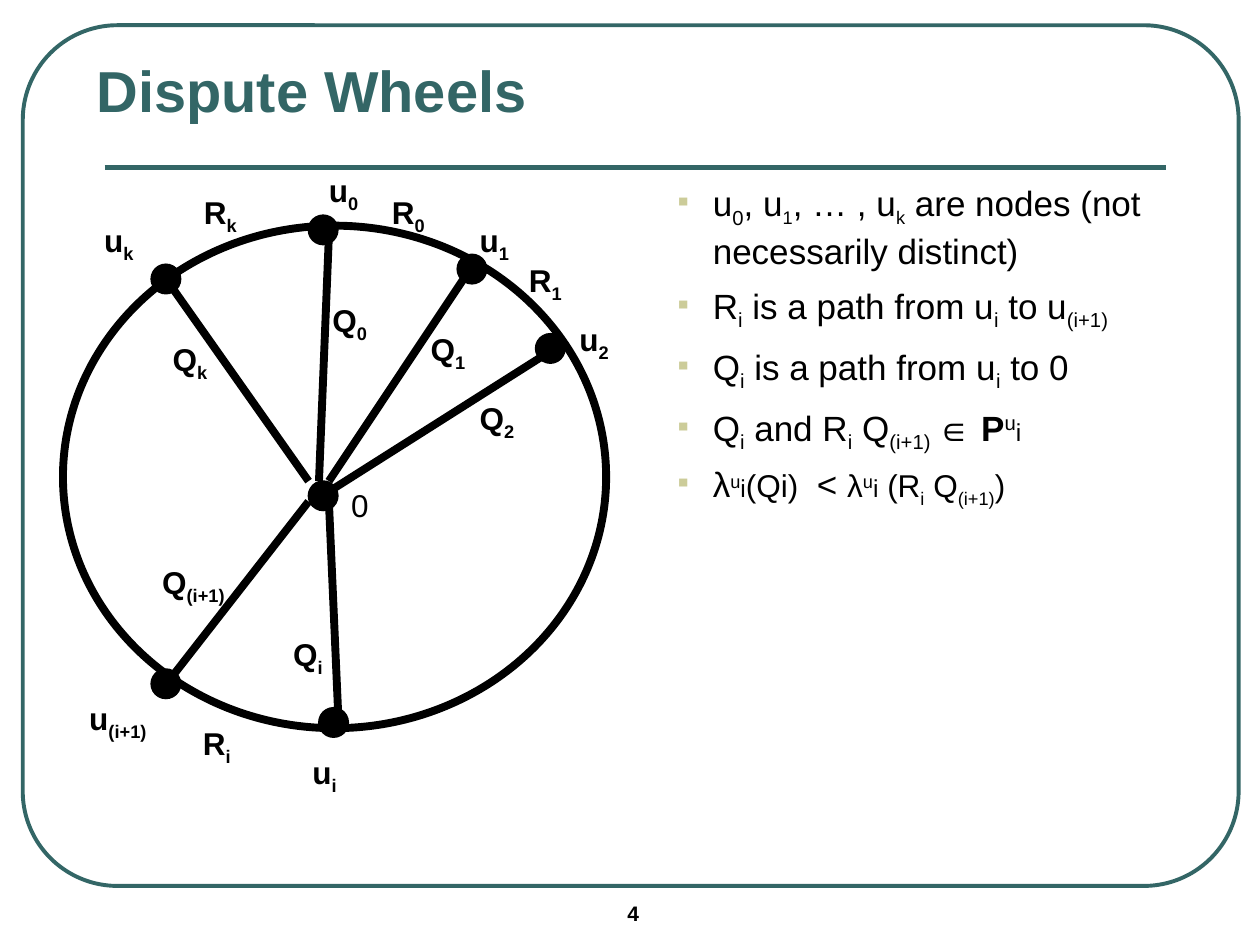
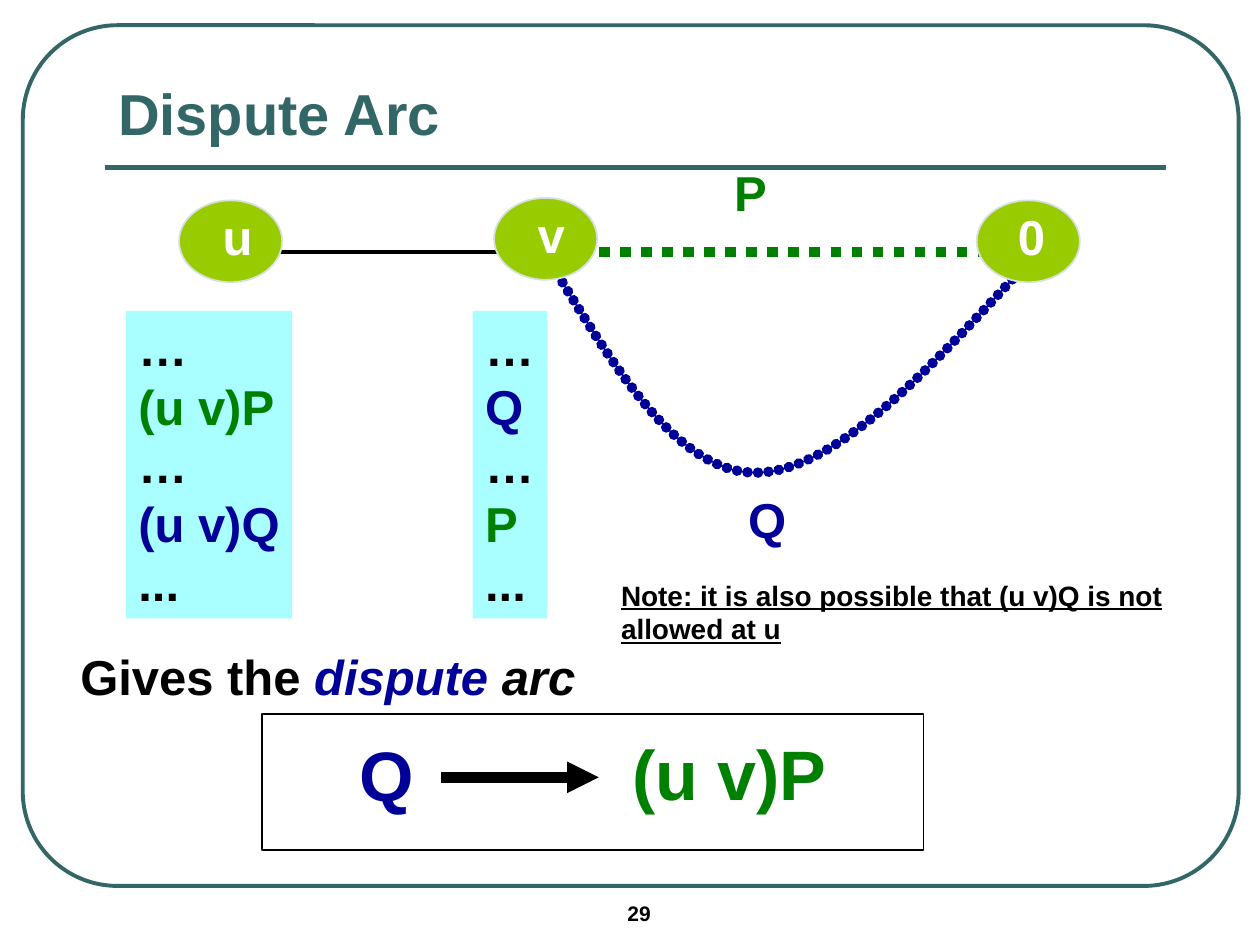
"""Build two slides about dispute wheels and dispute arcs."""
from itertools import pairwise

from lxml import etree
from pptx import Presentation
from pptx.dml.color import RGBColor
from pptx.enum import dml, shapes, text
from pptx.oxml import ns
from pptx.util import Cm, Pt

TEAL, BLACK, WHITE, KHAKI = "336666", "000000", "FFFFFF", "CCCC99"
GREEN, BLUE, LIME, AQUA, PALE = "008000", "000099", "99CC00", "A9FFFF", "D6E0E0"
FONT = "Arial"
OVAL, BOX = shapes.MSO_SHAPE.OVAL, shapes.MSO_SHAPE.RECTANGLE

RIM = (1.27, 4.55, 10.95, 10.13)
HUB = (6.22, 9.7)
DOT = 0.59
WHEEL_NODES = [
    ((6.43, 14.27), (6.83, 14.68), (6.63, 10.11)),
    ((3.05, 13.49), (3.43, 13.69), (6.22, 10.11)),
    ((3.05, 5.33), (3.43, 5.74), (6.22, 9.7)),
    ((10.8, 6.73), (11, 7.14), (6.63, 9.91)),
    ((9.22, 5.13), (9.4, 5.54), (6.63, 9.7)),
    ((6.22, 4.34), (6.63, 4.75), (6.43, 9.7)),
]
WHEEL_LABELS = {
    "u": {"0": (6.38, 3.33), "1": (9.42, 4.34), "2": (11.43, 6.32),
          "i": (6.05, 15.06), "(i+1)": (1.55, 13.97), "k": (1.85, 4.34)},
    "Q": {"0": (6.45, 5.94), "1": (8.43, 6.53), "2": (9.42, 7.92),
          "k": (3.23, 6.73), "(i+1)": (3.02, 11.23), "i": (5.66, 12.67)},
    "R": {"0": (7.65, 3.76), "1": (10.41, 5.13), "i": (3.84, 14.48),
          "k": (3.86, 3.76)},
}
LETTER_WIDTH = {"u": 1.25, "Q": 1.35, "R": 1.3}
EXTRA_WIDTH = {"i": -0.1, "(i+1)": 0.6}

SUB, SUP = {"base": -25}, {"base": 30}
SMALL, SMALL_SUB, SMALL_SUP = ({"size": 18, **base} for base in ({}, SUB, SUP))
TINY = {"size": 14}
DEFINITIONS = [
    (7.5, ["u", ("0", SUB), ", u", ("1", SMALL_SUB), ", … , u", ("k", SMALL_SUB),
           " are nodes (not necessarily distinct)"]),
    (7.5, ["R", ("i", SUB), " is a path from u", ("i", SUB), " to u", ("(i+1)", SUB)]),
    (7.5, ["Q", ("i", SUB), " is a path from u", ("i", SUB), " to 0"]),
    (5.2, ["Q", ("i", SUB), " and R", ("i", SUB), " Q", ("(i+1) ", SUB), "∈ ",
           ("P", {"bold": True}), ("u", SUP), ("i", TINY)]),
    (6.8, ["λ", ("u", SMALL_SUP), ("i", TINY), ("(Qi) ", SMALL), " < ", ("λ", SMALL),
           ("u", SMALL_SUP), ("i", TINY), (" (R", SMALL), ("i", SMALL_SUB),
           (" Q", SMALL), ("(i+1)", SMALL_SUB), (")", SMALL)]),
]

ARC_NODES = [("u", 3.61, 4.04, 0.63, 1.12), ("v", 9.96, 3.99, 0.63, 1.07),
             ("0", 19.69, 4.04, 0.58, 1.07)]
Q_PATH = [
    ((11.23, 5.51), (12.45, 7.52), (13.69, 9.53), (15.24, 9.53)),
    ((15.24, 9.53), (16.79, 9.53), (18.67, 7.52), (20.52, 5.51)),
]
RANKINGS = [
    ((2.54, 6.27, 3.35, 6.2),
     [("…", BLACK), ("(u v)P", GREEN), ("…", BLACK), ("(u v)Q", BLUE), ("...", BLACK)]),
    ((9.53, 6.27, 1.5, 6.2),
     [("…", BLACK), ("Q", BLUE), ("…", BLACK), ("P", GREEN), ("...", BLACK)]),
]
PATH_LABELS = [("P", GREEN, 28, (14.55, 3.15, 1.17, 1.45)),
               ("Q", BLUE, 28, (14.83, 9.75, 1.27, 1.45))]
ARC_LABELS = [("Q", BLUE, 40, (6.99, 14.63, 1.6, 1.96)),
              ("(u v)P", GREEN, 40, (12.5, 14.61, 4.42, 1.96))]
CONCLUSION = ["Gives the ", ("dispute", {"color": BLUE, "italic": True}),
              (" arc", {"italic": True})]
NOTE = "Note: it is also possible that (u v)Q is not allowed at u"


def rgb(value):
    """Turn a hex string into a colour."""
    return RGBColor.from_string(value)


def lengths(values):
    """Turn centimetres into lengths."""
    return [Cm(value) for value in values]


def add_run(paragraph, content, size=18, color=BLACK, bold=False, italic=False,
            underline=False, base=0):
    """Append one formatted run to a paragraph."""
    run = paragraph.add_run()
    run.text = content
    font = run.font
    font.name, font.size, font.bold = FONT, Pt(size), bold
    font.italic, font.underline = italic, underline
    font.color.rgb = rgb(color)
    if base:
        run._r.get_or_add_rPr().set("baseline", str(base * 1000))


def write(frame, lines, wrap=False, anchor=text.MSO_ANCHOR.TOP, **style):
    """Fill a text frame with lines, each a list of strings or (string, format) runs."""
    frame.word_wrap, frame.vertical_anchor = wrap, anchor
    for index, line in enumerate(lines):
        paragraph = frame.add_paragraph() if index else frame.paragraphs[0]
        paragraph.alignment = text.PP_ALIGN.LEFT
        for part in line:
            content, extra = (part, {}) if isinstance(part, str) else part
            add_run(paragraph, content, **{**style, **extra})
    return frame


def label(slide, area, runs, **style):
    """Add a text box holding one line of runs."""
    return write(slide.shapes.add_textbox(*lengths(area)).text_frame, [runs], **style)


def shape(slide, kind, area, fill=None, line=None, weight=1):
    """Add a preset shape with a plain fill and outline."""
    added = slide.shapes.add_shape(kind, *lengths(area))
    paint(added, fill, line, weight)
    return added


def paint(target, fill, line, weight):
    """Set the fill and outline of a shape and drop its shadow."""
    target.shadow.inherit = False
    for part, color in ((target.fill, fill), (target.line.fill, line)):
        if color:
            part.solid()
            part.fore_color.rgb = rgb(color)
        else:
            part.background()
    if line:
        target.line.width = Pt(weight)


def connect(slide, start, end, color=BLACK, weight=4.5):
    """Draw a straight line between two points."""
    added = slide.shapes.add_connector(
        shapes.MSO_CONNECTOR.STRAIGHT, *lengths((*start, *end)))
    added.line.color.rgb = rgb(color)
    added.line.width = Pt(weight)
    etree.SubElement(added._element.spPr, ns.qn("a:effectLst"))
    return added


def add_bullet(paragraph, indent, color):
    """Give a paragraph a small hanging square bullet."""
    properties = paragraph._p.get_or_add_pPr()
    properties.set("marL", str(Cm(indent)))
    properties.set("indent", str(-Cm(indent)))
    tint = etree.SubElement(properties, ns.qn("a:buClr"))
    etree.SubElement(tint, ns.qn("a:srgbClr")).set("val", color)
    etree.SubElement(properties, ns.qn("a:buSzPct")).set("val", "70000")
    etree.SubElement(properties, ns.qn("a:buChar")).set("char", "▪")


def bezier(points, t):
    """Return the point at t on a cubic curve."""
    while len(points) > 1:
        points = [tuple(a + (b - a) * t for a, b in zip(p, q)) for p, q in pairwise(points)]
    return points[0]


def start_slide(deck, title, area, anchor, number):
    """Add a slide with the shared frame, rule, title and page number."""
    slide = deck.slides.add_slide(deck.slide_layouts[6])
    frame = shape(slide, shapes.MSO_SHAPE.ROUNDED_RECTANGLE, (0.46, 0.51, 24.51, 17.35),
                  line=TEAL, weight=2.25)
    frame.adjustments[0] = 0.11
    connect(slide, (2.11, 3.38), (23.5, 3.38), TEAL, 3)
    label(slide, (12.4, 18.03, 2.97, 0.84), [number], wrap=True, size=12, bold=True)
    label(slide, area, [title], wrap=True, anchor=anchor, size=33, color=TEAL, bold=True)
    return slide


def build_wheel(deck):
    """Draw the dispute wheel and its definitions."""
    slide = start_slide(deck, "Dispute Wheels", (1.7, 0.64, 21.59, 2.34),
                        text.MSO_ANCHOR.MIDDLE, "4")
    shape(slide, OVAL, RIM, line=BLACK, weight=4.5)
    for dot in [HUB] + [node[0] for node in WHEEL_NODES]:
        shape(slide, OVAL, (*dot, DOT, DOT), BLACK, BLACK)
    for _, outer, inner in WHEEL_NODES:
        connect(slide, outer, inner)
    for letter, places in WHEEL_LABELS.items():
        for index, place in places.items():
            width = LETTER_WIDTH[letter] + EXTRA_WIDTH.get(index, 0)
            label(slide, (*place, width, 1.12), [letter, (index, SUB)], wrap=True, bold=True)
    label(slide, (6.83, 9.68, 0.86, 1.02), ["0"])

    definitions = slide.shapes.add_textbox(*lengths((13.34, 3.53, 11.63, 6.88))).text_frame
    write(definitions, [runs for _, runs in DEFINITIONS], wrap=True, size=20)
    for paragraph, (gap, _) in zip(definitions.paragraphs, DEFINITIONS):
        paragraph.space_after = Pt(gap)
        add_bullet(paragraph, 0.78, KHAKI)


def build_arc(deck):
    """Draw the two paths, the rankings and the resulting arc."""
    slide = start_slide(deck, "Dispute Arc", (2.13, 1.19, 22.86, 1.91),
                        text.MSO_ANCHOR.BOTTOM, "29")
    p_path = connect(slide, (11.23, 5.08), (20.96, 5.08), GREEN, 6)
    p_path.line.dash_style = dml.MSO_LINE.ROUND_DOT

    points = [bezier(curve, step / 24) for curve in Q_PATH for step in range(25)]
    outline = slide.shapes.build_freeform(*lengths(points[0]))
    outline.add_line_segments([lengths(point) for point in points[1:]], close=False)
    q_path = outline.convert_to_shape()
    paint(q_path, None, BLUE, 6)
    stroke = q_path.line._get_or_add_ln()
    stroke.set("cap", "rnd")
    dashes = etree.SubElement(stroke, ns.qn("a:custDash"))
    dash = etree.SubElement(dashes, ns.qn("a:ds"))
    dash.set("d", "100000")
    dash.set("sp", "0")

    connect(slide, (4.65, 5.08), (11.23, 5.08), weight=2.25)
    for area, ranking in RANKINGS:
        lines = [[(path, {"color": color})] for path, color in ranking]
        write(shape(slide, BOX, area, AQUA).text_frame, lines, size=28, bold=True)
    for name, left, top, shift, width in ARC_NODES:
        shape(slide, OVAL, (left, top, 2.08, 1.65), LIME, PALE)
        label(slide, (left + shift, top, width, 1.45), [name],
              size=28, color=WHITE, bold=True)

    shape(slide, BOX, (5.28, 14.4, 13.34, 2.74), WHITE, BLACK)
    for path, color, size, area in PATH_LABELS + ARC_LABELS:
        label(slide, area, [path], size=size, color=color, bold=True)
    arrow = connect(slide, (8.89, 15.67), (12.07, 15.67), weight=6)
    etree.SubElement(arrow.line._get_or_add_ln(), ns.qn("a:tailEnd")).set("type", "triangle")
    label(slide, (1.37, 12.9, 10.74, 1.45), CONCLUSION, size=28, bold=True)
    label(slide, (12.27, 11.53, 11.46, 1.63), [NOTE], wrap=True,
          size=16, bold=True, underline=True)


def main():
    """Build and save the deck."""
    deck = Presentation()
    deck.slide_width, deck.slide_height = Cm(25.4), Cm(19.05)
    build_wheel(deck)
    build_arc(deck)
    deck.save("out.pptx")


if __name__ == "__main__":
    main()
